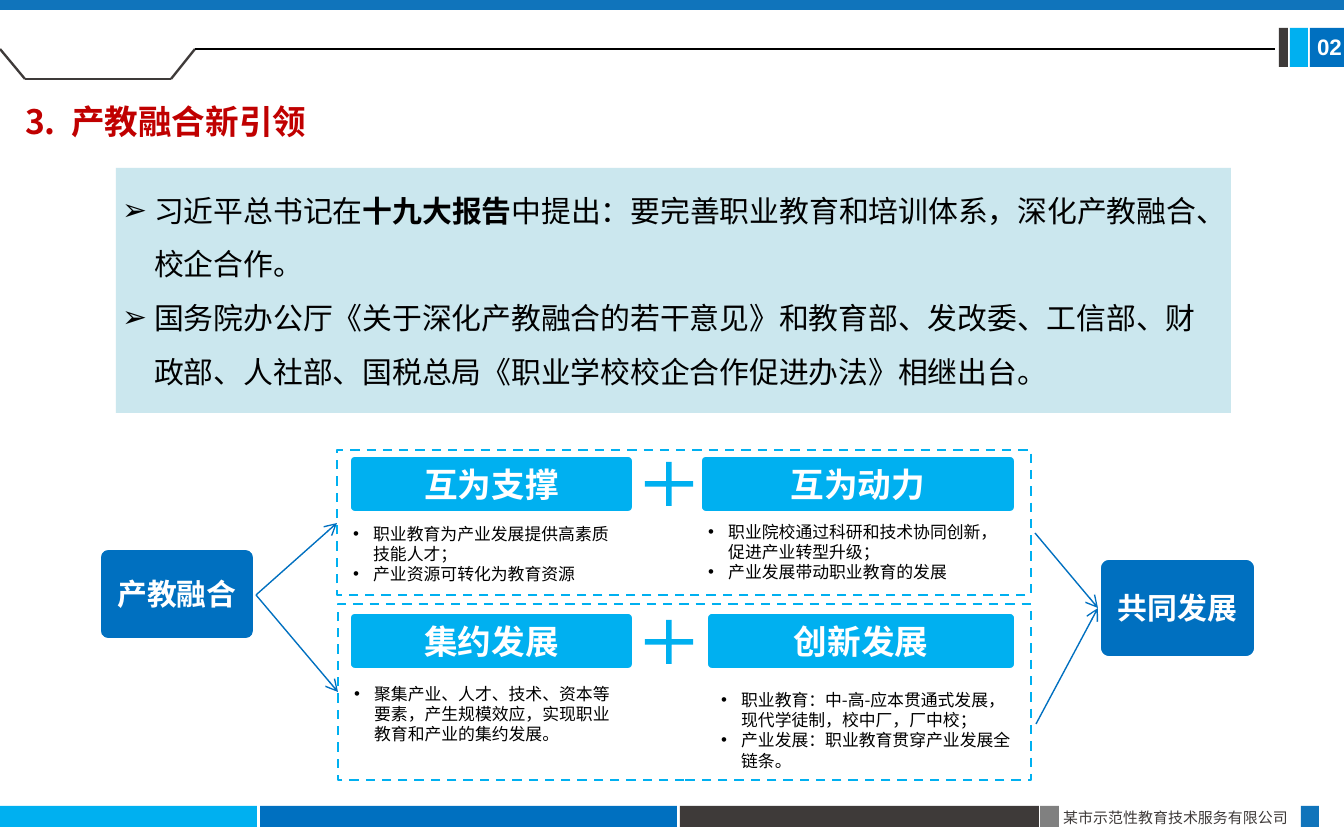
from lxml.etree import SubElement
from pptx import Presentation
from pptx.dml.color import RGBColor
from pptx.enum.dml import MSO_LINE
from pptx.enum.shapes import MSO_CONNECTOR, MSO_SHAPE
from pptx.enum.text import MSO_ANCHOR, PP_ALIGN
from pptx.oxml.ns import qn
from pptx.util import Pt

SCALE = 914400 / 134.4  # EMU per px
CJK = "Noto Sans CJK SC"
COLORS = {
    "blue": "0070C0", "bar": "1074BB", "sky": "00B0F0", "dark": "3E3A39",
    "gray": "808080", "panel": "93CDDD", "red": "C00000",
    "white": "FFFFFF", "black": "000000",
}
COLORS = {name: RGBColor.from_string(value) for name, value in COLORS.items()}

presentation = Presentation()
presentation.slide_width = round(1344 * SCALE)
presentation.slide_height = round(840 * SCALE)
slide = presentation.slides.add_slide(presentation.slide_layouts[6])


def add_shape(kind, box, fill, line=None, width=0, adjustment=None):
    shape = slide.shapes.add_shape(kind, *[round(n * SCALE) for n in box])
    shape.shadow.inherit = False
    shape.fill.solid()
    shape.fill.fore_color.rgb = COLORS[fill]
    if line:
        shape.line.color.rgb = COLORS[line]
        shape.line.width = Pt(width)
    else:
        shape.line.fill.background()
    if adjustment:
        shape.adjustments[0] = adjustment
    return shape


def write_text(shape, paragraphs, size, color, font=CJK, bold=False,
               align=PP_ALIGN.LEFT, spacing=1.0, indent=0, bullet=None):
    """Fill a shape; each paragraph is a list of runs, odd-numbered runs are bold."""
    frame = shape.text_frame
    frame.word_wrap = True
    for number, runs in enumerate(paragraphs):
        paragraph = frame.add_paragraph() if number else frame.paragraphs[0]
        properties = paragraph._p.get_or_add_pPr()
        if indent:
            properties.set("marL", str(round(indent * SCALE)))
            properties.set("indent", str(-round(indent * SCALE)))
        if bullet:
            SubElement(properties, qn("a:buFont"), typeface="Arial")
            SubElement(properties, qn("a:buChar"), char=bullet)
        for name, value in {"alignment": align, "line_spacing": spacing}.items():
            setattr(paragraph, name, value)
        for position, text in enumerate(runs):
            run = paragraph.add_run()
            run.text = text
            values = {"size": Pt(size), "name": font, "bold": bold or position % 2 == 1}
            for name, value in values.items():
                setattr(run.font, name, value)
            run.font.color.rgb = COLORS[color]
            SubElement(run._r.get_or_add_rPr(), qn("a:ea"), typeface=CJK)


# Header and footer bars
for box, fill in [
    ((0, 806, 257, 21), "sky"), ((260, 806, 417, 21), "blue"),
    ((680, 806, 359, 21), "dark"), ((1040, 806, 19, 21), "gray"),
    ((1301, 806, 18, 21), "bar"), ((1310, 28, 34, 39), "blue"),
    ((1290, 28, 18, 39), "sky"), ((1279, 28, 9, 39), "dark"),
    ((0, 0, 1344, 10), "bar"),
]:
    add_shape(MSO_SHAPE.RECTANGLE, box, fill)

# Tinted panel behind the policy points
panel = add_shape(MSO_SHAPE.RECTANGLE, (116, 168, 1115, 245), "panel")
panel_color = panel.fill._xPr.find(qn("a:solidFill"))[0]
SubElement(panel_color, qn("a:alpha"), val="48000")

# Dashed frames and plus signs of the two rows
for frame_box, plus_top in [((337, 450, 694, 145), 454), ((338, 604, 693, 176), 612)]:
    dashed = add_shape(MSO_SHAPE.RECTANGLE, frame_box, "white", "sky", 1.25)
    dashed.line.dash_style = MSO_LINE.DASH
    add_shape(MSO_SHAPE.MATH_PLUS, (636, plus_top, 66, 60), "sky", adjustment=0.092)

# Rounded labels
for label, box, fill, size in [
    ("产教融合", (99, 548, 156, 92), "blue", 16),
    ("共同发展", (1099, 558, 157, 100), "blue", 16),
    ("互为支撑", (349, 455, 285, 58), "sky", 18),
    ("互为动力", (700, 455, 316, 58), "sky", 18),
    ("集约发展", (349, 612, 285, 58), "sky", 18),
    ("创新发展", (706, 612, 310, 58), "sky", 18),
]:
    shape = add_shape(MSO_SHAPE.ROUNDED_RECTANGLE, box, fill, "white", 2, 0.1)
    shape.text_frame.vertical_anchor = MSO_ANCHOR.MIDDLE
    write_text(shape, [[label]], size, "white", bold=True, align=PP_ALIGN.CENTER)

# Header outline and flow arrows
for start, end, color, width, arrow in [
    ((25, 79), (171, 79), "dark", 1.25, False),
    ((171, 79), (195, 49), "dark", 1.25, False),
    ((25, 79), (0, 49), "dark", 1.25, False),
    ((195, 49), (1275, 49), "black", 0.75, False),
    ((256, 595), (337, 523), "blue", 0.75, True),
    ((256, 595), (338, 692), "blue", 0.75, True),
    ((1035, 533), (1098, 608), "blue", 0.75, True),
    ((1036, 724), (1098, 608), "blue", 0.75, True),
]:
    connector = slide.shapes.add_connector(
        MSO_CONNECTOR.STRAIGHT, *[round(n * SCALE) for n in start + end])
    connector.line.color.rgb = COLORS[color]
    connector.line.width = Pt(width)
    if arrow:
        SubElement(connector.line._get_or_add_ln(), qn("a:tailEnd"), type="arrow")
    SubElement(connector._element.spPr, qn("a:effectLst"))

# Text boxes
small = {"size": 9, "color": "black", "indent": 20, "bullet": "•"}
for box, paragraphs, style in [
    ((340, 517, 296, 75),
     [["职业教育为产业发展提供高素质技能人才；"], ["产业资源可转化为教育资源"]], small),
    ((695, 515, 322, 75),
     [["职业院校通过科研和技术协同创新，促进产业转型升级；"],
      ["产业发展带动职业教育的发展"]], small),
    ((341, 677, 296, 75),
     [["聚集产业、人才、技术、资本等要素，产生规模效应，实现职业教育和产业的集约发展。"]], small),
    ((708, 683, 316, 95),
     [["职业教育：中-高-应本贯通式发展，现代学徒制，校中厂，厂中校；"],
      ["产业发展：职业教育贯穿产业发展全链条。"]], small),
    ((109, 168, 1129, 231),
     [["习近平总书记在", "十九大报告",
       "中提出：要完善职业教育和培训体系，深化产教融合、校企合作。"],
      ["国务院办公厅《关于深化产教融合的若干意见》和教育部、发改委、工信部、财政部、人社部、"
       "国税总局《职业学校校企合作促进办法》相继出台。"]],
     {"size": 16, "color": "black", "font": "Calibri", "spacing": 1.5,
      "indent": 32, "bullet": "➢"}),
    ((12, 82, 418, 62), [["3.\t产教融合新引领"]],
     {"size": 18, "color": "red", "bold": True, "spacing": 1.3, "indent": 46}),
    ((1050, 802, 258, 32), [["某市示范性教育技术服务有限公司"]],
     {"size": 8, "color": "dark", "align": PP_ALIGN.JUSTIFY}),
    ((1306, 28, 50, 38), [["02"]],
     {"size": 12, "color": "white", "font": "Arial", "bold": True}),
]:
    text_box = slide.shapes.add_textbox(*[round(n * SCALE) for n in box])
    write_text(text_box, paragraphs, **style)

# The narrow page number needs tighter margins
for name, value in {"margin_left": 11, "margin_right": 11,
                    "margin_top": 5, "margin_bottom": 5}.items():
    setattr(text_box.text_frame, name, round(value * SCALE))

presentation.save("out.pptx")
